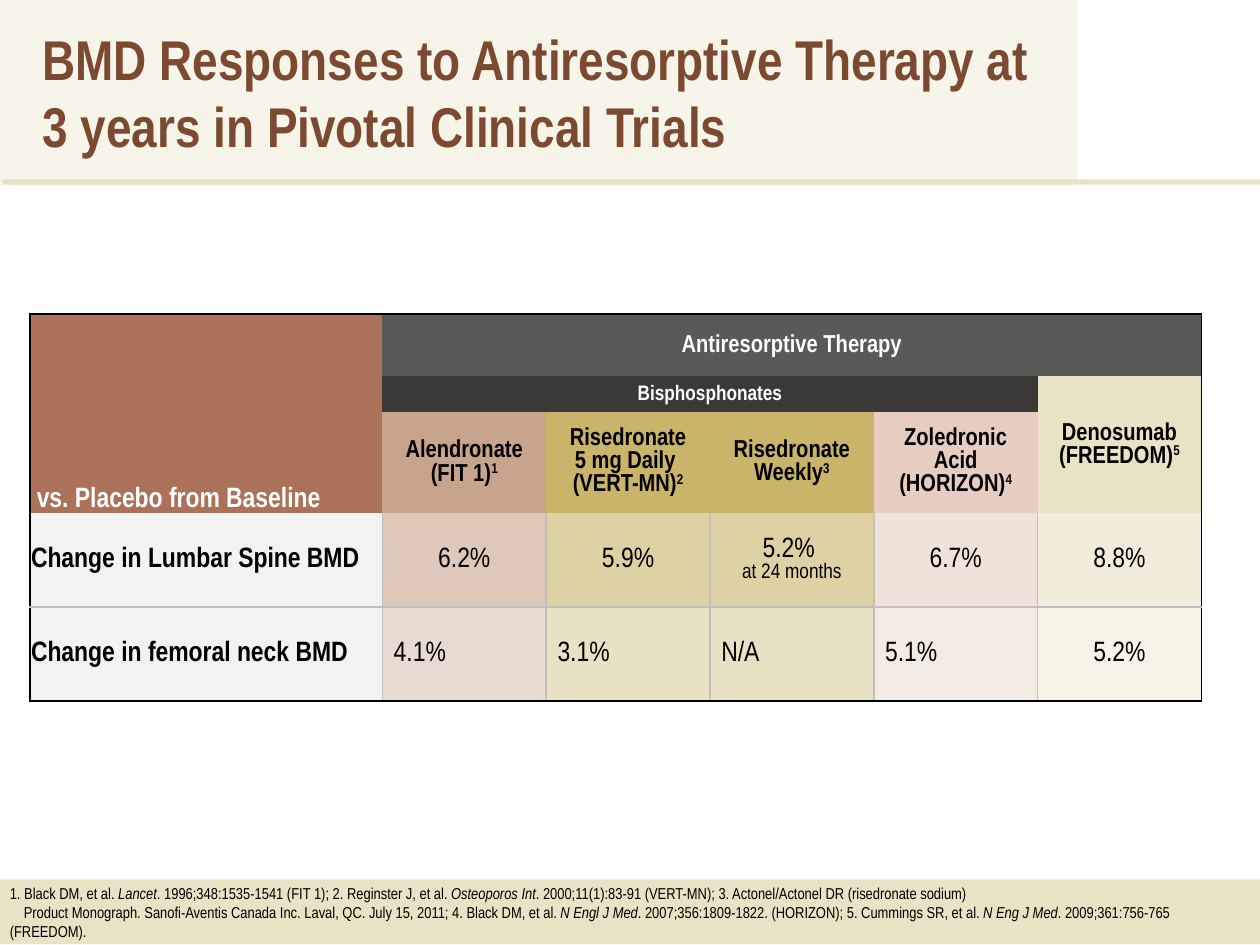
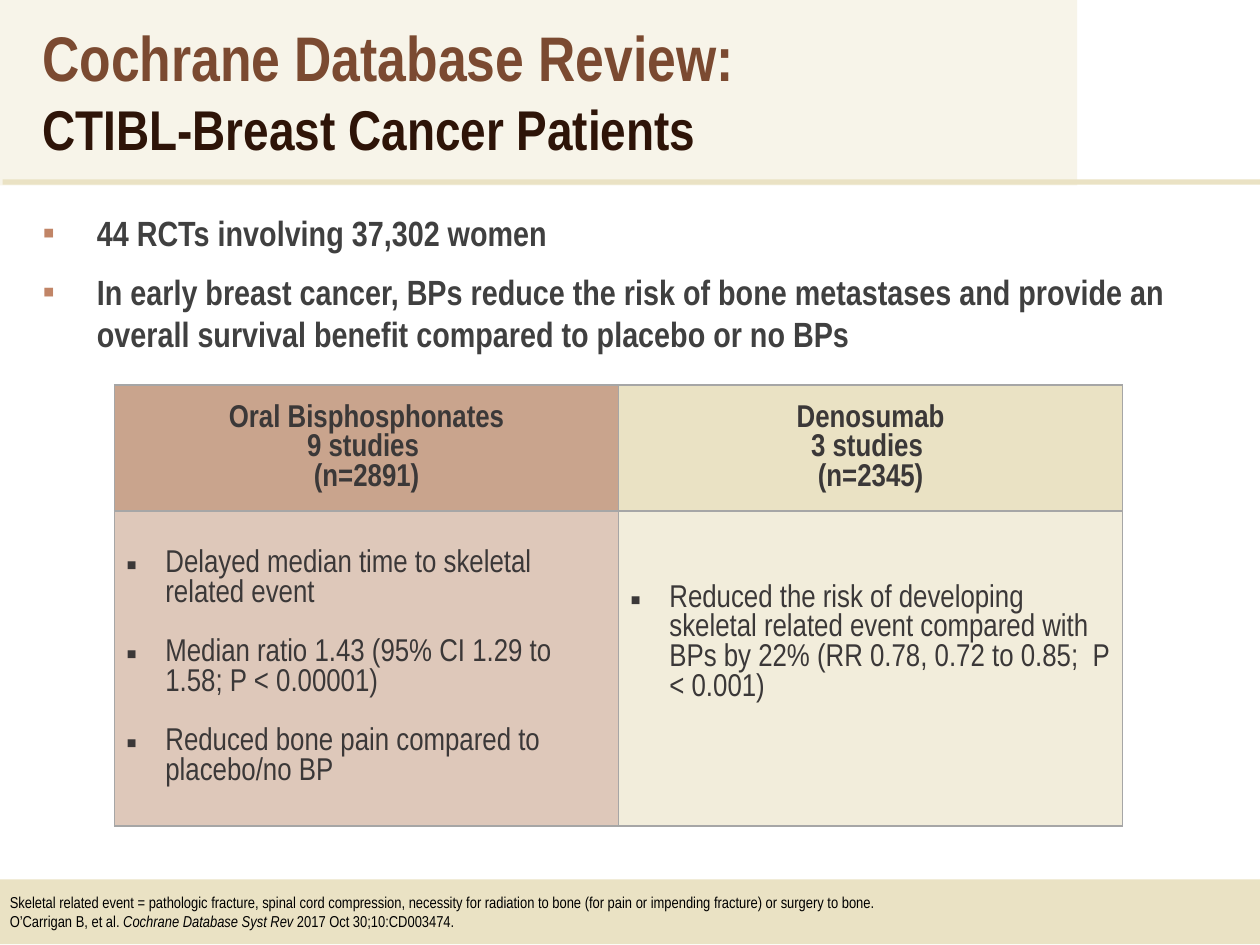
from lxml import etree
from pptx import Presentation
from pptx.dml.color import RGBColor
from pptx.enum.shapes import MSO_SHAPE
from pptx.enum.text import MSO_ANCHOR, MSO_AUTO_SIZE, PP_ALIGN
from pptx.oxml.ns import qn
from pptx.util import Pt

RECTANGLE = MSO_SHAPE.RECTANGLE
LEFT, CENTER = PP_ALIGN.LEFT, PP_ALIGN.CENTER
TOP, MIDDLE, BOTTOM = MSO_ANCHOR.TOP, MSO_ANCHOR.MIDDLE, MSO_ANCHOR.BOTTOM
FONT = "Arial Narrow"
NO_GRID_STYLE = "{2D5ABB26-0587-4C30-8999-92F81FD0307C}"
NARROW_MARGINS = (0.72, 0.72, 0.72, 0)
WIDE_MARGINS = (6.5, 3.6, 6.5, 3.6)
COLORS = {
    "title": "7B4A31", "subtitle": "2E1408", "title_band": "F7F4E9",
    "sand": "EAE2C4", "tan": "C9A48D", "gold": "C9B469", "pink": "E6CDC0",
    "brick": "AB7259", "gray": "595959", "charcoal": "3B3838",
    "row_label": "F2F2F2", "grid": "BFBFBF", "frame": "A6A6A6",
    "body": "404040", "bullet": "C18567", "black": "000000", "white": "FFFFFF",
}


def rgb(name):
    return RGBColor.from_string(COLORS[name])


def italic(text):
    return text, "italic"


def superscript(text):
    return text, "superscript"


def write(frame, paragraphs, size, color="black", bold=False, align=LEFT,
          gap=0, bullet=None, indent=0):
    frame.word_wrap = True
    for index, runs in enumerate(paragraphs):
        paragraph = frame.paragraphs[0] if index == 0 else frame.add_paragraph()
        paragraph.alignment = align
        if index and gap:
            paragraph.space_before = Pt(gap)
        if bullet:
            add_bullet(paragraph, bullet, indent)
        font = paragraph.font
        font.name, font.size, font.bold = FONT, Pt(size), bold
        font.color.rgb = rgb(color)
        for item in [runs] if isinstance(runs, str) else runs:
            text, style = (item, None) if isinstance(item, str) else item
            run = paragraph.add_run()
            run.text = text
            if style == "italic":
                run.font.italic = True
            elif style == "superscript":
                run.font._element.set("baseline", "30000")


def add_bullet(paragraph, color, indent):
    properties = paragraph._p.get_or_add_pPr()
    properties.set("marL", str(Pt(indent)))
    properties.set("indent", str(-Pt(indent)))
    bullet_color = etree.SubElement(properties, qn("a:buClr"))
    etree.SubElement(bullet_color, qn("a:srgbClr"), val=COLORS[color])
    etree.SubElement(properties, qn("a:buFont"), typeface="Arial")
    etree.SubElement(properties, qn("a:buChar"), char="▪")


def add_band(slide, left, top, width, height, color):
    band = slide.shapes.add_shape(RECTANGLE, Pt(left), Pt(top), Pt(width), Pt(height))
    band.shadow.inherit = False
    band.fill.solid()
    band.fill.fore_color.rgb = rgb(color)
    band.line.fill.background()
    return band


def add_slide(presentation, title_lines, title_top, footer_lines):
    slide = presentation.slides.add_slide(presentation.slide_layouts[5])
    add_band(slide, 0, 0, 615.5, 106, "title_band")
    add_band(slide, 1.5, 102.5, 718.5, 3, "sand")
    footer = add_band(slide, -1.5, 502.5, 721.5, 37, "sand").text_frame
    footer.vertical_anchor = MIDDLE
    write(footer, footer_lines, 9)

    title = slide.shapes.title
    title.left, title.top, title.width, title.height = (
        Pt(17), Pt(title_top), Pt(600), Pt(88))
    title.text_frame.auto_size = MSO_AUTO_SIZE.NONE
    title.text_frame.vertical_anchor = TOP
    write(title.text_frame, title_lines, 32, "title", bold=True)
    slide.shapes._spTree.append(title._element)
    return slide


def add_table(slide, left, top, widths, heights):
    shape = slide.shapes.add_table(len(heights), len(widths), Pt(left), Pt(top),
                                   Pt(sum(widths)), Pt(sum(heights)))
    table = shape.table
    table.first_row = table.horz_banding = False
    table._tbl.tblPr.find(qn("a:tableStyleId")).text = NO_GRID_STYLE
    for column, width in zip(table.columns, widths):
        column.width = Pt(width)
    for row, height in zip(table.rows, heights):
        row.height = Pt(height)
    return table


def set_borders(cell, sides):
    properties = cell._tc.get_or_add_tcPr()
    for side in "LRTB":
        if sides.get(side):
            line = etree.SubElement(properties, qn(f"a:ln{side}"), w=str(Pt(1)))
            fill = etree.SubElement(line, qn("a:solidFill"))
            etree.SubElement(fill, qn("a:srgbClr"), val=COLORS[sides[side]])


def fill_cell(cell, paragraphs, fill, size, opacity=100, margins=NARROW_MARGINS,
              anchor=MIDDLE, **text_style):
    cell.fill.solid()
    cell.fill.fore_color.rgb = rgb(fill)
    if opacity < 100:
        color = cell._tc.tcPr.find(qn("a:solidFill")).find(qn("a:srgbClr"))
        etree.SubElement(color, qn("a:alpha"), val=str(opacity * 1000))
    cell.margin_left, cell.margin_top, cell.margin_right, cell.margin_bottom = map(Pt, margins)
    cell.vertical_anchor = anchor
    write(cell.text_frame, paragraphs, size, **text_style)


def border_therapy_table(table):
    last_row, last_column = len(table.rows) - 1, len(table.columns) - 1
    for row in range(last_row + 1):
        inner = "grid" if row >= 3 else None
        for column in range(last_column + 1):
            cell = table.cell(row, column)
            reach = column + cell.span_width - 1 if cell.is_merge_origin else column
            set_borders(cell, {
                "L": inner if column else "black",
                "R": inner if reach < last_column else "black",
                "T": "black" if row == 0 else "grid" if row == last_row else None,
                "B": "black" if row == last_row else inner,
            })


def add_therapy_table(slide):
    table = add_table(slide, 17, 179.5, [201.5] + [93.6] * 5, [35.5, 20.5, 57.7, 53.7, 53.7])
    for first, last in [((0, 0), (2, 0)), ((0, 1), (0, 5)),
                        ((1, 1), (1, 4)), ((1, 5), (2, 5))]:
        table.cell(*first).merge(table.cell(*last))
    border_therapy_table(table)

    fill_cell(table.cell(0, 0), ["vs. Placebo from Baseline"], "brick", 16, color="white",
              bold=True, anchor=BOTTOM, margins=(4, 0.72, 0.72, 0))
    fill_cell(table.cell(0, 1), ["Antiresorptive Therapy"], "gray", 14, color="white",
              bold=True, align=CENTER)
    fill_cell(table.cell(1, 1), ["Bisphosphonates"], "charcoal", 12, color="white",
              bold=True, align=CENTER)
    for row, label in [(3, "Change in Lumbar Spine BMD"), (4, "Change in femoral neck BMD")]:
        fill_cell(table.cell(row, 0), [label], "row_label", 16, bold=True)

    drugs = [
        ("tan", ["Alendronate"], "(FIT 1)", ["6.2%"], "4.1%"),
        ("gold", ["Risedronate", "5 mg Daily "], "(VERT-MN)", ["5.9%"], "3.1%"),
        ("gold", ["Risedronate"], "Weekly", ["5.2% ", "at 24 months"], "N/A"),
        ("pink", ["Zoledronic Acid"], "(HORIZON)", ["6.7%"], "5.1%"),
        ("sand", ["Denosumab"], "(FREEDOM)", ["8.8%"], "5.2%"),
    ]
    for column, (fill, name, trial, spine, neck) in enumerate(drugs, 1):
        is_denosumab = column == len(drugs)
        heading = name + [[trial, superscript(str(column))]]
        fill_cell(table.cell(1 if is_denosumab else 2, column), heading, fill, 14,
                  bold=True, align=CENTER,
                  margins=NARROW_MARGINS if column in (1, 5) else WIDE_MARGINS)
        fill_cell(table.cell(3, column), spine, fill, 16, 60, WIDE_MARGINS, align=CENTER)
        fill_cell(table.cell(4, column), [neck], fill, 16, 40, WIDE_MARGINS,
                  align=CENTER if is_denosumab else LEFT)
    table.cell(3, 3).text_frame.paragraphs[1].font.size = Pt(12)


def add_review_table(slide):
    table = add_table(slide, 65.5, 220, [288, 288], [72, 180])
    treatments = [
        ("tan", ["Oral Bisphosphonates", "9 studies ", "(n=2891)"],
         ["Delayed median time to skeletal related event",
          "Median ratio 1.43 (95% CI 1.29 to 1.58; P < 0.00001)",
          "Reduced bone pain compared to placebo/no BP"], WIDE_MARGINS),
        ("sand", ["Denosumab", "3 studies ", "(n=2345)"],
         ["Reduced the risk of developing skeletal related event compared with "
          "BPs by 22% (RR 0.78, 0.72 to 0.85;  P < 0.001)"], (6.5, 3.6, 6.5, 32)),
    ]
    for column, (fill, heading, findings, margins) in enumerate(treatments):
        for row in range(2):
            set_borders(table.cell(row, column), dict.fromkeys("LRTB", "frame"))
        fill_cell(table.cell(0, column), heading, fill, 18, color="charcoal",
                  bold=True, align=CENTER)
        fill_cell(table.cell(1, column), findings, fill, 18, 60, margins,
                  color="charcoal", gap=17, bullet="charcoal", indent=22.5)


def build_responses_slide(presentation):
    references = [
        ["1. Black DM, et al. ", italic("Lancet"),
         ". 1996;348:1535-1541 (FIT 1); 2. Reginster J, et al. ", italic("Osteoporos Int"),
         ". 2000;11(1):83-91 (VERT-MN); 3. Actonel/Actonel DR (risedronate sodium)"],
        ["Product Monograph. Sanofi-Aventis Canada Inc. Laval, QC. July 15, 2011; "
         "4. Black DM, et al. ", italic("N Engl J Med"),
         ". 2007;356:1809-1822. (HORIZON); 5. Cummings SR, et al. ", italic("N Eng J Med"),
         ". 2009;361:756-765 (FREEDOM)."],
    ]
    slide = add_slide(presentation, ["BMD Responses to Antiresorptive Therapy at",
                                     "3 years in Pivotal Clinical Trials"], 10.5, references)
    footer = slide.shapes[2].text_frame
    footer.paragraphs[1]._p.get_or_add_pPr().set("indent", str(Pt(8)))
    add_therapy_table(slide)


def build_review_slide(presentation):
    references = [
        "Skeletal related event = pathologic fracture, spinal cord compression, necessity for "
        "radiation to bone (for pain or impending fracture) or surgery to bone.",
        ["O’Carrigan B, et al. ", italic("Cochrane Database Syst Rev"),
         " 2017 Oct 30;10:CD003474."],
    ]
    slide = add_slide(presentation, ["Cochrane Database Review:",
                                     "CTIBL-Breast Cancer Patients"], 7, references)
    heading, subtitle = slide.shapes.title.text_frame.paragraphs
    heading.font.size = Pt(36)
    subtitle.font.color.rgb = rgb("subtitle")

    findings = slide.shapes.add_textbox(Pt(17.3), Pt(117.3), Pt(700), Pt(108.5))
    write(findings.text_frame,
          ["44 RCTs involving 37,302 women",
           "In early breast cancer, BPs reduce the risk of bone metastases and provide an "
           "overall survival benefit compared to placebo or no BPs"],
          20, "body", bold=True, gap=10, bullet="bullet", indent=31)
    add_review_table(slide)


def main():
    presentation = Presentation()
    presentation.slide_width, presentation.slide_height = Pt(720), Pt(540)
    build_responses_slide(presentation)
    build_review_slide(presentation)
    presentation.save("out.pptx")


if __name__ == "__main__":
    main()
